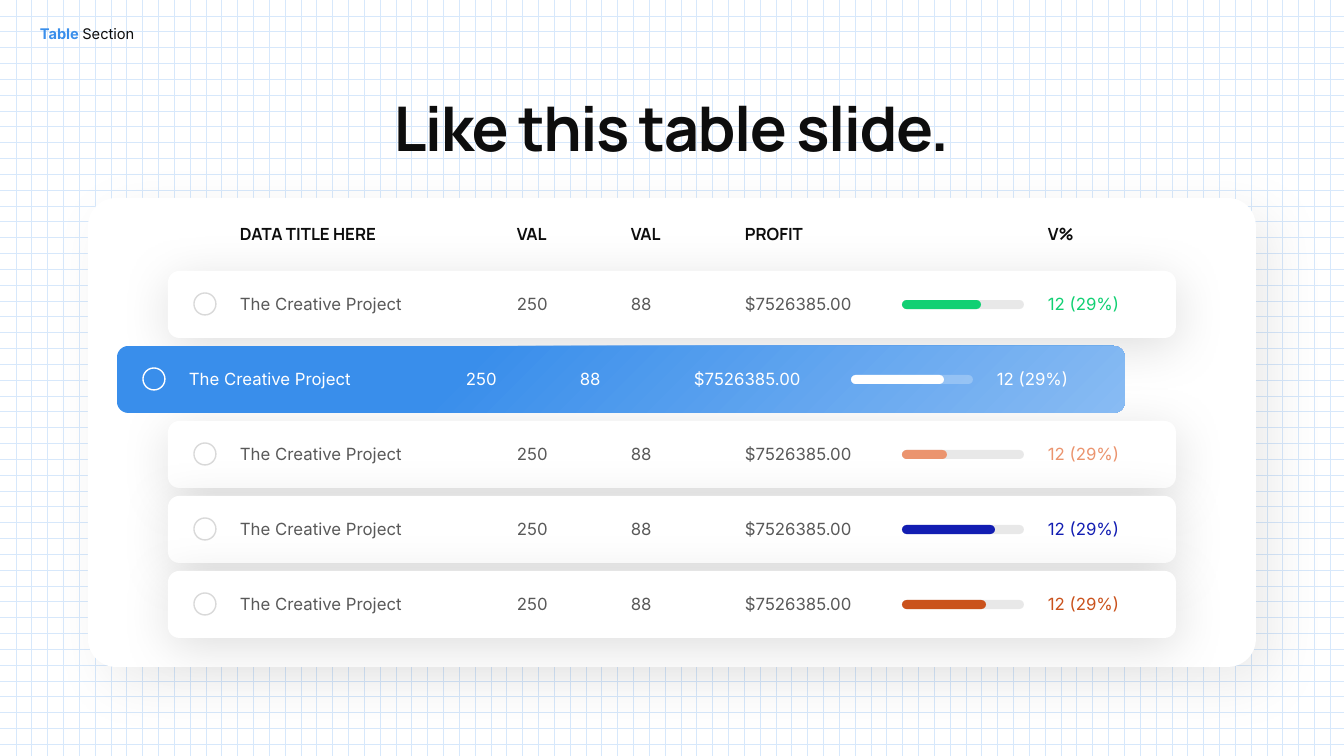
from lxml import etree
from pptx import Presentation
from pptx.dml.color import RGBColor
from pptx.enum.dml import MSO_PATTERN
from pptx.enum.shapes import MSO_SHAPE
from pptx.enum.text import MSO_ANCHOR, MSO_AUTO_SIZE, PP_ALIGN
from pptx.oxml import parse_xml
from pptx.oxml.ns import qn
from pptx.util import Emu, Pt

ROUNDED, OVAL = MSO_SHAPE.ROUNDED_RECTANGLE, MSO_SHAPE.OVAL
GRID = MSO_PATTERN.DOTTED_GRID
TOP, MIDDLE = MSO_ANCHOR.TOP, MSO_ANCHOR.MIDDLE
LEFT, CENTER = PP_ALIGN.LEFT, PP_ALIGN.CENTER
FIXED_SIZE = MSO_AUTO_SIZE.NONE

WHITE = RGBColor(0xFF, 0xFF, 0xFF)
INK = RGBColor(0x0D, 0x0D, 0x0D)
GREY_TEXT = RGBColor(0x59, 0x59, 0x59)
GREY_TRACK = RGBColor(0xA6, 0xA6, 0xA6)
GREY_RING = RGBColor(0xD9, 0xD9, 0xD9)
GRID_BLUE = RGBColor(0xD7, 0xE8, 0xFB)
BLUE = RGBColor(0x39, 0x8E, 0xEB)
PALE_BLUE = RGBColor(0x88, 0xBB, 0xF3)
GREEN = RGBColor(0x11, 0xD0, 0x73)
PEACH = RGBColor(0xEB, 0x94, 0x6E)
NAVY = RGBColor(0x12, 0x1D, 0xB2)
RUST = RGBColor(0xCA, 0x52, 0x1C)

BODY_FONT, HEAD_FONT = "Inter", "Manrope"
EMU_PER_PX = 914400 / 100.8
EMU_PER_POINT = 12700
DRAWING = "http://schemas.openxmlformats.org/drawingml/2006/main"

# Columns: offset from the row's left edge and width
COLUMNS = ((62, 292), (339, 75), (453, 75), (567, 153), (870, 109))
HEADINGS = ("DATA TITLE HERE", "VAL", "VAL", "PROFIT", "V%")
VALUES = ("The Creative Project", "250", "88", "$7526385.00", "12 (29%)")
ROW_WIDTH, ROW_HEIGHT, ROW_PITCH = 1008, 67, 75
BAR_OFFSET, BAR_WIDTH, BAR_HEIGHT = 734, 122, 9

# Plain rows: position in the list, accent colour and bar length
PLAIN_ROWS = ((0, GREEN, 79), (2, PEACH, 45), (3, NAVY, 93), (4, RUST, 84))
HIGHLIGHT_POSITION, HIGHLIGHT_BAR, HIGHLIGHT_SHIFT = 1, 93, 51


def px(length):
    return Emu(round(length * EMU_PER_PX))


def box_emu(*box):
    return [px(length) for length in box]


def add_run(paragraph, text, *, size=12, font=BODY_FONT, color=GREY_TEXT,
            bold=False, spacing=None):
    run = paragraph.add_run()
    run.text = text
    run.font.size = Pt(size)
    run.font.name = font
    run.font.bold = bold
    run.font.color.rgb = color
    if spacing is not None:
        run.font._element.set("spc", str(spacing))


def write_text(shape, *pieces, align=LEFT, anchor=TOP, wrap=True, **formatting):
    """Fill a shape with one paragraph; a piece is text or (text, format)."""
    frame = shape.text_frame
    frame.word_wrap = wrap
    frame.auto_size = FIXED_SIZE
    frame.vertical_anchor = anchor
    paragraph = frame.paragraphs[0]
    paragraph.alignment = align
    for piece in pieces:
        text, extra = (piece, {}) if isinstance(piece, str) else piece
        add_run(paragraph, text, **{**formatting, **extra})


def add_plain_shape(shapes, kind, box, fill, *, line=None, radius=None, alpha=None):
    shape = shapes.add_shape(kind, *box_emu(*box))
    shape.shadow.inherit = False
    shape.fill.solid()
    shape.fill.fore_color.rgb = fill
    if alpha is not None:
        color = shape._element.spPr.find(".//" + qn("a:srgbClr"))
        etree.SubElement(color, qn("a:alpha"), val=str(alpha * 1000))
    if line is None:
        shape.line.fill.background()
    else:
        shape.line.color.rgb = line
        shape.line.width = Pt(1)
    if radius is not None:
        shape.adjustments[0] = radius
    return shape


def add_shadow(shape, *, alpha, blur, distance, angle):
    effects = shape._element.spPr.find(qn("a:effectLst"))
    effects.append(parse_xml(
        f'<a:outerShdw xmlns:a="{DRAWING}" blurRad="{blur * EMU_PER_POINT}" '
        f'dist="{distance * EMU_PER_POINT}" dir="{angle * 60000}" '
        f'algn="ctr" rotWithShape="0"><a:srgbClr val="000000">'
        f'<a:alpha val="{alpha * 1000}"/></a:srgbClr></a:outerShdw>'))


def set_corner_gradient(shape, corner, rest, stop):
    """Radial gradient that starts in the bottom right corner."""
    properties = shape._element.spPr
    solid = properties.find(qn("a:solidFill"))
    properties.replace(solid, parse_xml(
        f'<a:gradFill xmlns:a="{DRAWING}" rotWithShape="1"><a:gsLst>'
        f'<a:gs pos="0"><a:srgbClr val="{corner}"/></a:gs>'
        f'<a:gs pos="{stop * 1000}"><a:srgbClr val="{rest}"/></a:gs></a:gsLst>'
        f'<a:path path="circle"><a:fillToRect l="100000" t="100000"/></a:path>'
        f'</a:gradFill>'))


def add_cells(shapes, left, top, texts, colors, **formatting):
    for (offset, width), text, color in zip(COLUMNS, texts, colors):
        cell = shapes.add_textbox(*box_emu(left + offset, top + 18, width, 30))
        write_text(cell, text, color=color, **formatting)


def add_row(slide, left, top, accent, bar_length, highlighted=False):
    shapes = slide.shapes.add_group_shape().shapes
    # Card
    card = add_plain_shape(shapes, ROUNDED, (left, top, ROW_WIDTH, ROW_HEIGHT),
                           WHITE, radius=0.17)
    if highlighted:
        set_corner_gradient(card, PALE_BLUE, BLUE, 66)
    else:
        add_shadow(card, alpha=12, blur=36, distance=6, angle=90)
    # Values
    text_color = WHITE if highlighted else GREY_TEXT
    add_cells(shapes, left, top, VALUES, [text_color] * 4 + [accent])
    # Progress bar
    track = WHITE if highlighted else GREY_TRACK
    for length, color, alpha in ((BAR_WIDTH, track, 25), (bar_length, accent, None)):
        add_plain_shape(shapes, ROUNDED,
                        (left + BAR_OFFSET, top + 29, length, BAR_HEIGHT),
                        color, radius=0.5, alpha=alpha)
    # Selection ring
    add_plain_shape(shapes, OVAL, (left + 26, top + 22, 22, 22),
                    BLUE if highlighted else WHITE,
                    line=WHITE if highlighted else GREY_RING)


def add_table_panel(slide, left, top, width, height):
    panel = add_plain_shape(slide.shapes, ROUNDED, (left, top, width, height),
                            WHITE, radius=0.06)
    add_shadow(panel, alpha=7, blur=40, distance=18, angle=45)
    row_left, first_top = left + 80, top + 73
    for position, accent, bar_length in PLAIN_ROWS:
        add_row(slide, row_left, first_top + position * ROW_PITCH, accent, bar_length)
    add_row(slide, row_left - HIGHLIGHT_SHIFT,
            first_top + HIGHLIGHT_POSITION * ROW_PITCH,
            WHITE, HIGHLIGHT_BAR, highlighted=True)
    # Column headings
    headings = slide.shapes.add_group_shape().shapes
    add_cells(headings, row_left, top + 3, HEADINGS, [INK] * len(HEADINGS),
              font=HEAD_FONT, bold=True)


def add_section_label(slide, left, top, width, height):
    label = slide.shapes.add_textbox(*box_emu(left, top, width, height))
    write_text(label, ("Table ", {"color": BLUE, "bold": True}), "Section",
               size=10.5, color=INK, wrap=False)


def place_title(slide, left, top, width, height):
    title = slide.shapes.title
    title.left, title.top, title.width, title.height = box_emu(left, top, width, height)
    write_text(title, "Like this table slide.", align=CENTER, anchor=MIDDLE,
               size=44, font=HEAD_FONT, color=INK, bold=True, spacing=-110)


def main():
    presentation = Presentation()
    presentation.slide_width, presentation.slide_height = box_emu(1344, 756)
    slide = presentation.slides.add_slide(presentation.slide_layouts[5])

    # Grid background
    background = slide.background.fill
    background.patterned()
    background.pattern = GRID
    background.fore_color.rgb = GRID_BLUE
    background.back_color.rgb = WHITE

    add_section_label(slide, 30, 20, 120, 28)
    place_title(slide, 116, 84, 1111, 85)
    add_table_panel(slide, 88, 198, 1168, 469)
    presentation.save("out.pptx")


if __name__ == "__main__":
    main()
